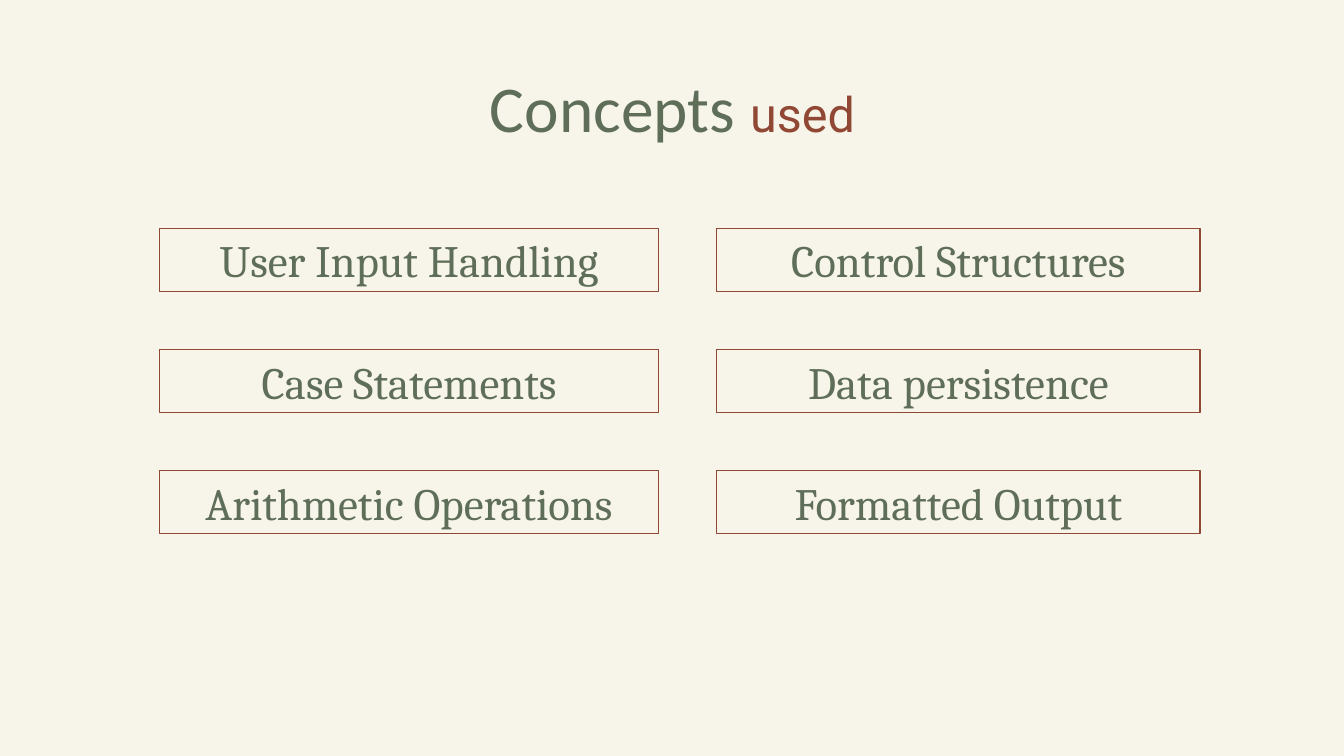
from dataclasses import dataclass

from pptx import Presentation
from pptx.dml.color import RGBColor
from pptx.enum import shapes, text
from pptx.util import Pt


@dataclass(frozen=True)
class Theme:
    paper: RGBColor = RGBColor(0xF7, 0xF5, 0xE9)
    green: RGBColor = RGBColor(0x5F, 0x6E, 0x59)
    rust: RGBColor = RGBColor(0x90, 0x48, 0x34)
    title: int = 35
    accent: int = 26
    body: int = 24


theme = Theme()


def add_text(sp, runs, anchor=text.MSO_ANCHOR.TOP):
    tf = sp.text_frame
    tf.word_wrap = True
    tf.vertical_anchor = anchor
    tf.margin_left = tf.margin_right = tf.margin_top = tf.margin_bottom = Pt(7.2)
    p = tf.paragraphs[0]
    p.alignment = text.PP_ALIGN.CENTER
    for words, font, size, color in runs:
        r = p.add_run()
        r.text = words
        r.font.name = font
        r.font.size = Pt(size)
        r.font.color.rgb = color


prs = Presentation()
prs.slide_width, prs.slide_height = Pt(720), Pt(405)
s = prs.slides.add_slide(prs.slide_layouts[6])
s.background.fill.solid()
s.background.fill.fore_color.rgb = theme.paper

title = s.shapes.add_textbox(Pt(94.3), Pt(28.8), Pt(532), Pt(45.4))
add_text(title, [
    ("Concepts ", "Calibri", theme.title, theme.green),
    ("used", "Roboto", theme.accent, theme.rust),
])

columns = [
    (85.4, 267.4, ["User Input Handling", "Case Statements", "Arithmetic Operations"]),
    (383.8, 259.2, ["Control Structures", "Data persistence", "Formatted Output"]),
]
top, pitch, height = 122.4, 64.9, 33.8

for left, width, concepts in columns:
    for row, concept in enumerate(concepts):
        sp = s.shapes.add_shape(shapes.MSO_SHAPE.RECTANGLE, Pt(left),
                                Pt(top + row * pitch), Pt(width), Pt(height))
        sp.shadow.inherit = False
        sp.fill.background()
        sp.line.color.rgb = theme.rust
        sp.line.width = Pt(0.75)
        add_text(sp, [(concept, "Cambria", theme.body, theme.green)],
                 anchor=text.MSO_ANCHOR.MIDDLE)

prs.save("out.pptx")
